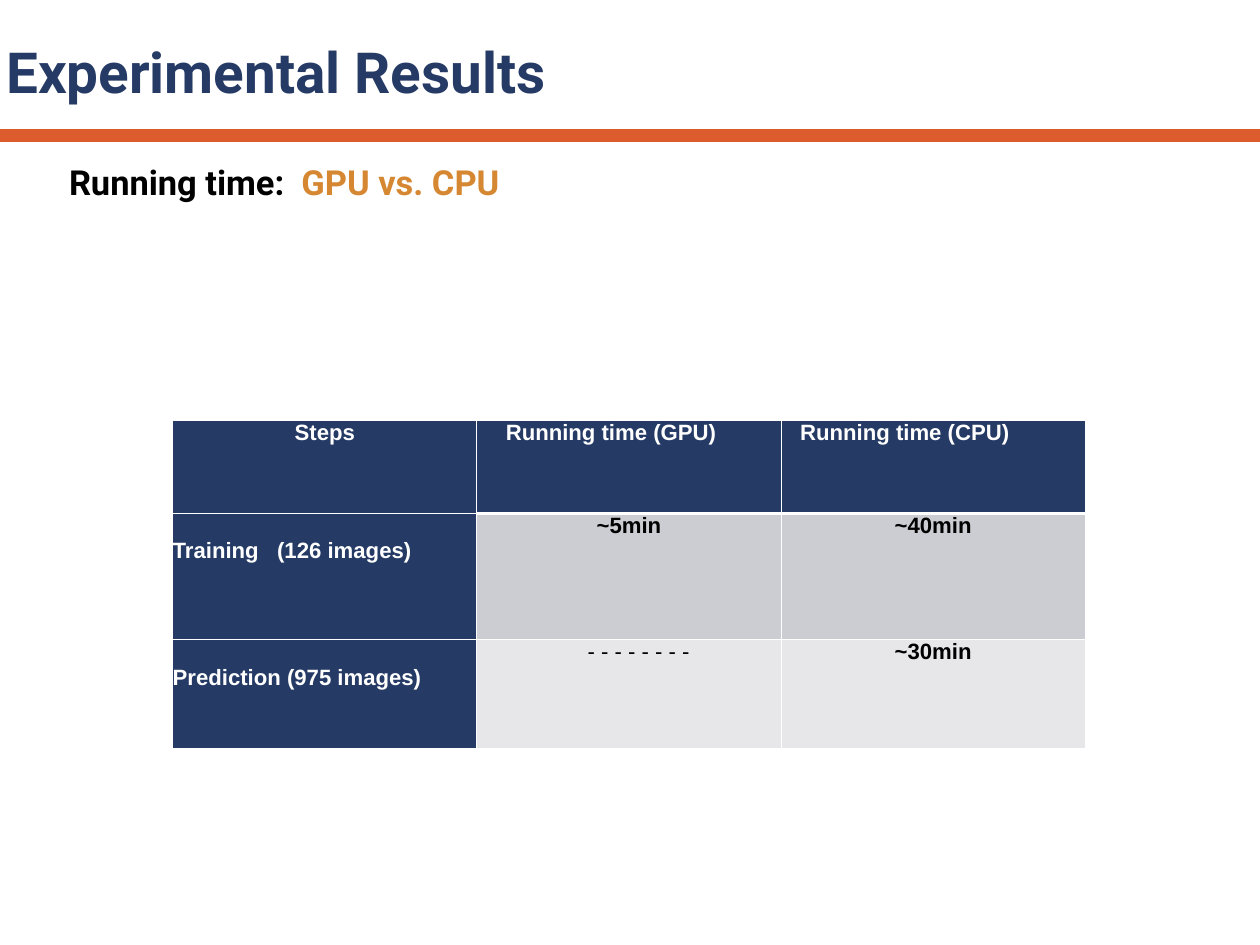
from lxml.etree import SubElement
from pptx import Presentation
from pptx.dml.color import RGBColor
from pptx.enum.shapes import MSO_CONNECTOR
from pptx.enum.text import MSO_ANCHOR, MSO_AUTO_SIZE, PP_ALIGN
from pptx.oxml.ns import qn
from pptx.util import Cm, Pt

NAVY = RGBColor(0x25, 0x3A, 0x65)
ORANGE = RGBColor(0xDD, 0x5C, 0x2D)
AMBER = RGBColor(0xD5, 0x87, 0x31)
BLACK = RGBColor(0, 0, 0)
WHITE = RGBColor(0xFF, 0xFF, 0xFF)
GREY = RGBColor(0xCB, 0xCD, 0xD2)
LIGHT_GREY = RGBColor(0xE7, 0xE7, 0xEA)

HEADING = {"name": "Roboto", "bold": True}
CELL = {"name": "Arial", "size": Pt(18), "bold": True}

ROW_HEIGHTS = (2.67, 3.63, 3.12)
COLUMN_WIDTH = 8.72
RUNNING_TIMES = (
    ("Steps", "Running time (GPU)", "Running time (CPU)"),
    ("Training   (126 images)", "~5min", "~40min"),
    ("Prediction (975 images)", "- - - - - - - -", "~30min"),
)
ROW_FILLS = (NAVY, GREY, LIGHT_GREY)
INDENTS = {(0, 1): 0.83, (0, 2): 0.55, (2, 1): 0.55}


def add_run(paragraph, text, color, **font_values):
    run = paragraph.add_run()
    run.text = text
    for name, value in font_values.items():
        setattr(run.font, name, value)
    run.font.color.rgb = color


def format_frame(frame, anchor):
    values = {"word_wrap": True, "auto_size": MSO_AUTO_SIZE.NONE, "vertical_anchor": anchor}
    for side in ("left", "right", "top", "bottom"):
        values[f"margin_{side}"] = Cm(0.18)
    for name, value in values.items():
        setattr(frame, name, value)


def place_title(slide, text):
    title = slide.shapes.title
    title.left, title.top, title.width, title.height = Cm(0), Cm(0.76), Cm(23.37), Cm(2.57)
    format_frame(title.text_frame, MSO_ANCHOR.MIDDLE)
    paragraph = title.text_frame.paragraphs[0]
    paragraph.alignment = PP_ALIGN.LEFT
    add_run(paragraph, text, NAVY, size=Pt(46), **HEADING)


def add_rule(slide, width):
    rule = slide.shapes.add_connector(MSO_CONNECTOR.STRAIGHT, Cm(0), Cm(3.89), width, Cm(3.89))
    rule.line.color.rgb = ORANGE
    rule.line.width = Pt(10)
    SubElement(rule._element.spPr, qn("a:effectLst"))


def add_subtitle(slide):
    box = slide.shapes.add_textbox(Cm(1.8), Cm(4.45), Cm(34.3), Cm(1.6))
    format_frame(box.text_frame, MSO_ANCHOR.TOP)
    paragraph = box.text_frame.paragraphs[0]
    add_run(paragraph, "Running time: ", BLACK, size=Pt(28), **HEADING)
    add_run(paragraph, " GPU vs. CPU", AMBER, size=Pt(28), **HEADING)


def add_borders(cell, row, column):
    """Draw white cell borders, thicker between the header and the values."""
    properties = cell._tc.get_or_add_tcPr()
    thick_side = {0: "lnB", 1: "lnT"}.get(row) if column else None
    for side in ("lnL", "lnR", "lnT", "lnB"):
        width = Pt(3) if side == thick_side else Pt(1)
        line = SubElement(properties, qn(f"a:{side}"), w=str(int(width)))
        fill = SubElement(line, qn("a:solidFill"))
        SubElement(fill, qn("a:srgbClr"), val=str(WHITE))


def fill_cell(cell, text, row, column):
    is_label = row > 0 and column == 0
    is_header = row == 0 or column == 0
    for side in ("left", "right", "top", "bottom"):
        setattr(cell, f"margin_{side}", Cm(0))
    if is_label:
        cell.margin_top = Cm(0.72)
    add_borders(cell, row, column)
    cell.fill.solid()
    cell.fill.fore_color.rgb = NAVY if is_header else ROW_FILLS[row]

    paragraph = cell.text_frame.paragraphs[0]
    left_aligned = is_label or (row == 0 and column > 0)
    paragraph.alignment = PP_ALIGN.LEFT if left_aligned else PP_ALIGN.CENTER
    if (row, column) in INDENTS:
        indent = Cm(INDENTS[row, column])
        paragraph._p.get_or_add_pPr().set("marL", str(int(indent)))
    font_values = {**CELL, "bold": not text.startswith("-")}
    add_run(paragraph, text, WHITE if is_header else BLACK, **font_values)


def add_running_times(slide):
    column_count = len(RUNNING_TIMES[0])
    table = slide.shapes.add_table(
        len(RUNNING_TIMES), column_count, Cm(4.95), Cm(12.05),
        Cm(COLUMN_WIDTH * column_count), Cm(sum(ROW_HEIGHTS))).table
    for column in table.columns:
        column.width = Cm(COLUMN_WIDTH)
    for row, texts in enumerate(RUNNING_TIMES):
        table.rows[row].height = Cm(ROW_HEIGHTS[row])
        for column, text in enumerate(texts):
            fill_cell(table.cell(row, column), text, row, column)


def main():
    presentation = Presentation()
    presentation.slide_width = Cm(36.12)
    presentation.slide_height = Cm(27.1)
    slide = presentation.slides.add_slide(presentation.slide_layouts[5])
    add_rule(slide, presentation.slide_width)
    add_subtitle(slide)
    place_title(slide, "Experimental Results")
    add_running_times(slide)
    presentation.save("out.pptx")


if __name__ == "__main__":
    main()
